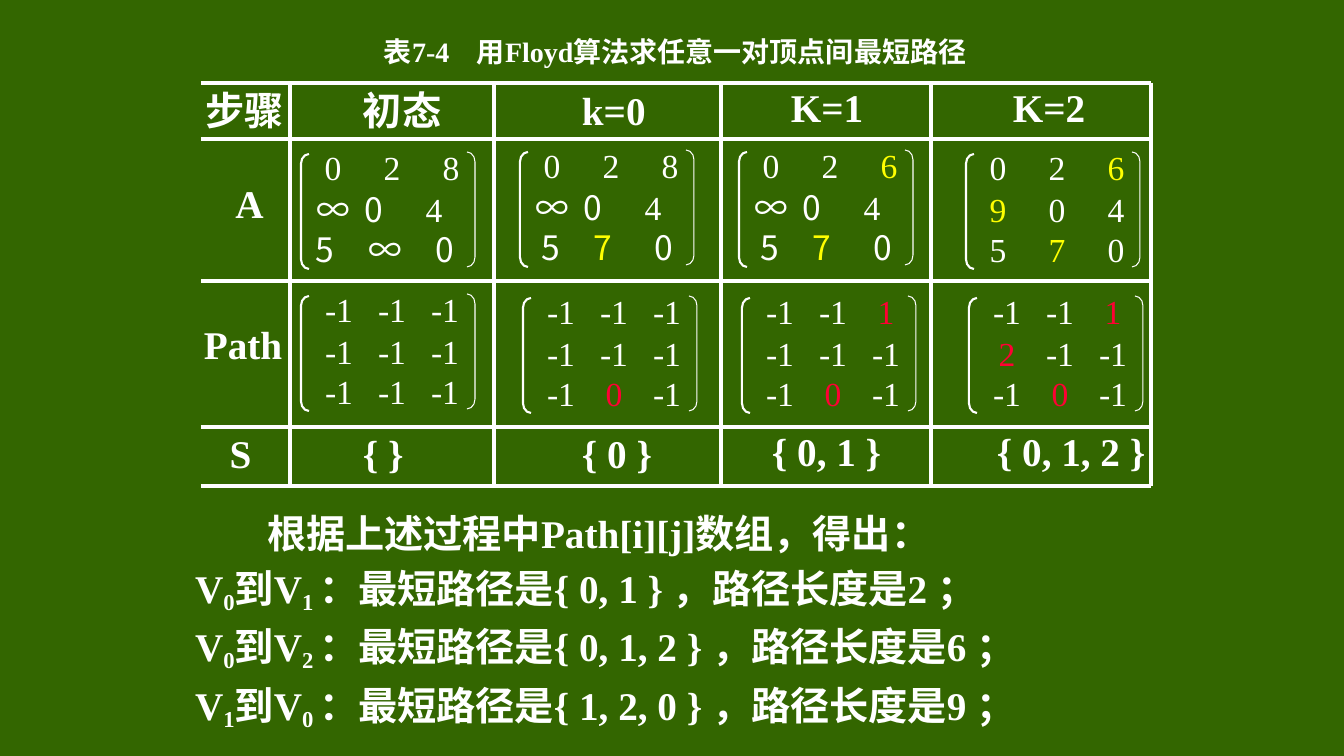
from lxml import etree
from pptx import Presentation
from pptx import util as u
from pptx.dml.color import RGBColor
from pptx.enum import shapes, text
from pptx.oxml.ns import qn

EMU_PER_PX = 914400 / 100.8
COLORS = {"board": "336600", "chalk": "FFFFFF", "changed": "FFFF00", "via": "FF0033"}
SERIF, SANS = "Times New Roman", "Noto Sans CJK SC"

GRID_X = (290, 494, 721, 931, 1151)
GRID_Y = (83, 139, 281, 427, 486)
GRID_LEFT, ROW_STEPS = 201, (0, 42, 82)

# Centres of the three entries from the left of their box, and their fonts
ROW_STYLES = {
    "even": ((27, 86, 145), (SERIF, SERIF, SERIF)),
    "infinite": ((27, 68, 128), (SANS, SANS, SERIF)),
    "sans left": ((19, 79, 139), (SANS, SANS, SANS)),
    "sans": ((26, 78, 139), (SANS, SANS, SANS)),
    "path": ((33, 86, 139), (SERIF, SERIF, SERIF)),
}

# An asterisk marks an entry that changed in the step
DISTANCES = [
    (306, 150, [("even", "0 2 8"), ("infinite", "∞ 0 4"), ("sans left", "5 ∞ 0")]),
    (525, 148, [("even", "0 2 8"), ("infinite", "∞ 0 4"), ("sans", "5 7* 0")]),
    (744, 148, [("even", "0 2 6*"), ("infinite", "∞ 0 4"), ("sans", "5 7* 0")]),
    (971, 150, [("even", "0 2 6*"), ("even", "9* 0 4"), ("even", "5 7* 0")]),
]
PATHS = [
    (306, 292, ["-1 -1 -1", "-1 -1 -1", "-1 -1 -1"]),
    (528, 294, ["-1 -1 -1", "-1 -1 -1", "-1 0* -1"]),
    (747, 294, ["-1 -1 1*", "-1 -1 -1", "-1 0* -1"]),
    (974, 294, ["-1 -1 1*", "2* -1 -1", "-1 0* -1"]),
]

CENTER, LEFT = text.PP_ALIGN.CENTER, text.PP_ALIGN.LEFT
LABELS = [
    ("步骤", 201, 86, 88, CENTER),
    ("初态", 353, 86, 88, LEFT),
    ("k=0", 572, 86, 83, LEFT),
    ("K=1", 781, 83, 91, LEFT),
    ("K=2", 1003, 83, 88, LEFT),
    ("A", 226, 179, 47, CENTER),
    ("Path", 194, 320, 91, LEFT),
    ("S", 217, 429, 47, CENTER),
    ("{ }", 353, 429, 66, LEFT),
    ("{ 0 }", 572, 429, 83, LEFT),
    ("{ 0, 1 }", 762, 427, 119, LEFT),
    ("{ 0, 1, 2 }", 987, 427, 154, LEFT),
]

ROUTES = [("0", "1", "0, 1", "2"), ("0", "2", "0, 1, 2", "6"), ("1", "0", "1, 2, 0", "9")]


def px(*lengths):
    return [u.Emu(round(length * EMU_PER_PX)) for length in lengths]


def color(name):
    return RGBColor.from_string(COLORS[name])


def add_span(para, words, size, font=SERIF, bold=False, ink="chalk", subscript=False):
    span = para.add_run()
    span.text = words
    span.font.size, span.font.bold, span.font.name = u.Pt(size), bold, font
    span.font.color.rgb = color(ink)
    properties = span.font._element
    etree.SubElement(properties, qn("a:ea"), typeface=SANS)
    if subscript:
        properties.set("baseline", "-18000")


def set_tabs(para, stops, align):
    tabs = etree.SubElement(para._p.get_or_add_pPr(), qn("a:tabLst"))
    for stop in px(*stops):
        etree.SubElement(tabs, qn("a:tab"), pos=str(stop), algn=align)


def place(box, *bounds):
    box.left, box.top, box.width, box.height = px(*bounds)


def set_frame(frame, wrap, side_inset):
    frame.word_wrap = wrap
    frame.auto_size = text.MSO_AUTO_SIZE.NONE
    frame.vertical_anchor = text.MSO_ANCHOR.MIDDLE
    frame.margin_top = frame.margin_bottom = 0
    frame.margin_left = frame.margin_right = px(side_inset)[0]


def add_label(page, words, left, top, width, align):
    frame = page.shapes.add_textbox(*px(left, top, width, 47)).text_frame
    set_frame(frame, False, 10)
    para = frame.paragraphs[0]
    para.alignment = align
    add_span(para, words, 28, bold=True)


def add_matrix_row(page, left, top, style, entries, mark):
    frame = page.shapes.add_textbox(*px(left, top, 156, 35)).text_frame
    set_frame(frame, True, 0)
    para = frame.paragraphs[0]
    centres, fonts = ROW_STYLES[style]
    set_tabs(para, centres, "ctr")
    for entry, font in zip(entries.split(), fonts):
        ink = mark if entry.endswith("*") else "chalk"
        add_span(para, "\t" + entry.rstrip("*"), 24, font, ink=ink)


def add_bracket(page, preset, left, top, weight):
    bracket = page.shapes.add_shape(preset, *px(left, top, 8, 115))
    bracket.adjustments[0] = 1.22
    bracket.shadow.inherit = False
    bracket.fill.background()
    bracket.line.color.rgb = color("chalk")
    bracket.line.width = u.Pt(weight)


def add_matrix(page, left, top, rows, mark):
    for step, (style, entries) in zip(ROW_STEPS, rows):
        add_matrix_row(page, left, top + step, style, entries, mark)
    add_bracket(page, shapes.MSO_SHAPE.LEFT_BRACKET, left - 5, top + 4, 1.5)
    add_bracket(page, shapes.MSO_SHAPE.RIGHT_BRACKET, left + 161, top + 2, 0.75)


def add_rule(page, *ends):
    rule = page.shapes.add_connector(shapes.MSO_CONNECTOR.STRAIGHT, *px(*ends))
    rule.line.color.rgb = color("chalk")
    rule.line.width = u.Pt(2.25)
    etree.SubElement(rule._element.spPr, qn("a:effectLst"))


def fill_caption(title):
    place(title, 374, 34, 620, 35)
    set_frame(title.text_frame, True, 10)
    para = title.text_frame.paragraphs[0]
    para.alignment = LEFT
    set_tabs(para, [93], "l")
    add_span(para, "表7-4\t用Floyd算法求任意一对顶点间", 20, bold=True)
    add_span(para, "最短路径", 20, SANS, True)


def fill_conclusion(body):
    place(body, 185, 504, 975, 227)
    frame = body.text_frame
    frame.word_wrap = True
    frame.auto_size = text.MSO_AUTO_SIZE.NONE
    lines = [[("根据上述过程中Path[i][j]数组", SERIF), ("，", SANS), ("得出：", SERIF)]]
    for start, end, route, length in ROUTES:
        lines.append([
            ("V", SERIF), (start, SERIF, True), ("到V", SERIF), (end + " ", SERIF, True),
            ("：", SERIF), ("最短路径是", SANS), (f"{{ {route} }} ", SERIF),
            ("，路径长度是", SANS), (length + " ", SERIF), ("；", SANS),
        ])
    for number, line in enumerate(lines):
        para = frame.add_paragraph() if number else frame.paragraphs[0]
        properties = para._p.get_or_add_pPr()
        properties.set("marL", "0")
        properties.set("indent", str(px(0 if number else 72)[0]))
        etree.SubElement(properties, qn("a:buNone"))
        if not number:
            para.space_before = u.Pt(0)
        for words, font, *subscript in line:
            add_span(para, words, 28, font, True, subscript=bool(subscript))


def main():
    deck = Presentation()
    deck.slide_width, deck.slide_height = px(1344, 756)
    page = deck.slides.add_slide(deck.slide_layouts[1])
    page.background.fill.solid()
    page.background.fill.fore_color.rgb = color("board")

    fill_caption(page.shapes.title)
    fill_conclusion(page.placeholders[1])
    for left, top, rows in DISTANCES:
        add_matrix(page, left, top, rows, "changed")
    for left, top, rows in PATHS:
        add_matrix(page, left, top, [("path", entries) for entries in rows], "via")
    for label in LABELS:
        add_label(page, *label)
    for y in GRID_Y:
        add_rule(page, GRID_LEFT, y, GRID_X[-1], y)
    for x in GRID_X:
        add_rule(page, x, GRID_Y[0], x, GRID_Y[-1])
    deck.save("out.pptx")


if __name__ == "__main__":
    main()
